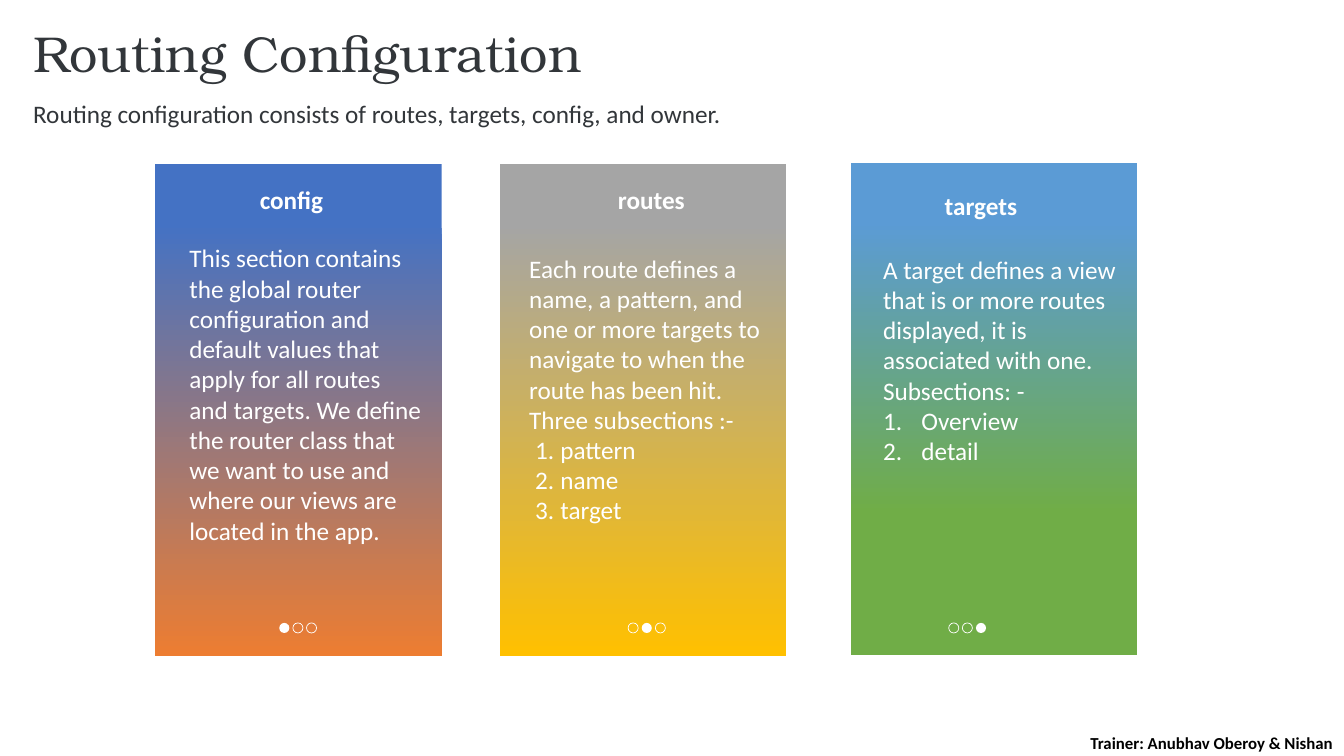
from pptx import Presentation
from pptx.dml.color import RGBColor
from pptx.enum.shapes import MSO_SHAPE
from pptx.enum.text import MSO_ANCHOR, PP_ALIGN
from pptx.oxml.ns import qn
from pptx.util import Inches, Pt
from lxml import etree

RECT, OVAL = MSO_SHAPE.RECTANGLE, MSO_SHAPE.OVAL
TOP, MID, LOW = MSO_ANCHOR.TOP, MSO_ANCHOR.MIDDLE, MSO_ANCHOR.BOTTOM
LEFT, CENTER, RIGHT = PP_ALIGN.LEFT, PP_ALIGN.CENTER, PP_ALIGN.RIGHT

COLORS = {
    "ink": "32363A", "white": "FFFFFF", "black": "000000",
    "blue": "4472C4", "orange": "ED7D31", "gray": "A5A5A5",
    "gold": "FFC000", "sky": "5B9BD5", "green": "70AD47",
}
SERIF, SANS = "TeX Gyre Bonum", "Calibri"
CARD_W, CARD_H = 2.84, 4.88
TEXT_W = 2.52
DOT, DOT_STEP, DOT_TOP = 0.1, 0.135, 6.18

# Each list gives its items, left margin and hanging indent.
CARDS = [
    dict(at=(1.54, 1.63), fill=("blue", "orange", 100),
         name="config", head=(1.63, 1.78, TEXT_W),
         body=(1.78, 2.36, 3.13), dots=2.77,
         lines=["This section contains the global router configuration and "
                "default values that apply for all routes and targets. We "
                "define the router class that we want to use and where our "
                "views are located in the app."],
         steps=([], 0, 0)),
    dict(at=(4.96, 1.63), fill=("gray", "gold", 100),
         name="routes", head=(5.2, 1.78, TEXT_W),
         body=(5.15, 2.46, 2.83), dots=6.23,
         lines=["Each route defines a name, a pattern, and one or more "
                "targets to navigate to when the route has been hit.",
                "Three subsections :-"],
         steps=(["pattern", "name", "target"], 0.31, -0.25)),
    dict(at=(8.44, 1.62), fill=("sky", "green", 71),
         name="targets", head=(8.9, 1.84, 1.66),
         body=(8.66, 2.47, 2.52), dots=9.41,
         lines=["A target defines a view that is or more routes displayed, "
                "it is associated with one.", "Subsections: -"],
         steps=(["Overview", "detail"], 0.38, -0.38)),
]


def color(name):
    return RGBColor.from_string(COLORS[name])


class Deck:
    def __init__(self):
        self.prs = Presentation()
        self.prs.slide_width = Inches(13.33)
        self.prs.slide_height = Inches(7.5)
        self.slide = self.prs.slides.add_slide(self.prs.slide_layouts[6])

    def shape(self, kind, x, y, w, h):
        item = self.slide.shapes.add_shape(
            kind, Inches(x), Inches(y), Inches(w), Inches(h))
        item.shadow.inherit = False
        return item

    def panel(self, x, y, start, end, stop):
        """Draw a card that fades downward from 12 to stop percent."""
        item = self.shape(RECT, x, y, CARD_W, CARD_H)
        item.line.fill.background()
        item.fill.gradient()
        item.fill.gradient_angle = 270
        first, last = item.fill.gradient_stops
        first.color.rgb, first.position = color(start), 0.12
        last.color.rgb, last.position = color(end), stop / 100

    def text(self, x, y, w, h, lines, tint="white", size=18, face=SANS,
             bold=False, align=LEFT, anchor=TOP, wrap=True):
        box = self.slide.shapes.add_textbox(
            Inches(x), Inches(y), Inches(w), Inches(h))
        frame = box.text_frame
        frame.word_wrap = wrap
        frame.vertical_anchor = anchor
        frame.text = "\n".join(lines)
        for para in frame.paragraphs:
            para.alignment = align
            font = para.font
            font.name, font.size, font.bold = face, Pt(size), bold
            font.color.rgb = color(tint)
        return frame

    def number(self, para, margin, indent):
        props = para._p.get_or_add_pPr()
        props.set("marL", str(Inches(margin)))
        props.set("indent", str(Inches(indent)))
        mark = etree.Element(qn("a:buAutoNum"), type="arabicPeriod")
        props.insert(0, mark)

    def dots(self, x, active):
        for i in range(3):
            dot = self.shape(OVAL, x + i * DOT_STEP, DOT_TOP, DOT, DOT)
            if i == active:
                dot.fill.solid()
                dot.fill.fore_color.rgb = color("white")
                dot.line.fill.background()
            else:
                dot.fill.background()
                dot.line.color.rgb = color("white")
                dot.line.width = Pt(0.5)

    def card(self, index, at, fill, name, head, body, dots, lines, steps):
        self.panel(*at, *fill)
        items, margin, indent = steps
        x, y, h = body
        frame = self.text(x, y, TEXT_W, h, lines + items)
        for para in frame.paragraphs[len(lines):]:
            self.number(para, margin, indent)
        self.text(*head, 0.4, [name], bold=True, align=CENTER, anchor=LOW)
        self.dots(dots, index)


def main():
    deck = Deck()
    title = deck.text(0.23, 0.17, 13.1, 0.78, ["Routing Configuration"],
                      "ink", 36, SERIF, anchor=MID)
    title.paragraphs[0].line_spacing = 0.9
    deck.text(0.23, 0.93, 7.11, 0.4,
              ["Routing configuration consists of routes, targets, config, "
               "and owner."], "ink", anchor=MID, wrap=False)
    for index, card in enumerate(CARDS):
        deck.card(index, **card)
    deck.text(10.46, 7.23, 2.86, 0.27, ["Trainer: Anubhav Oberoy & Nishan"],
              "black", 12, bold=True, align=RIGHT, anchor=MID)
    deck.prs.save("out.pptx")


if __name__ == "__main__":
    main()
